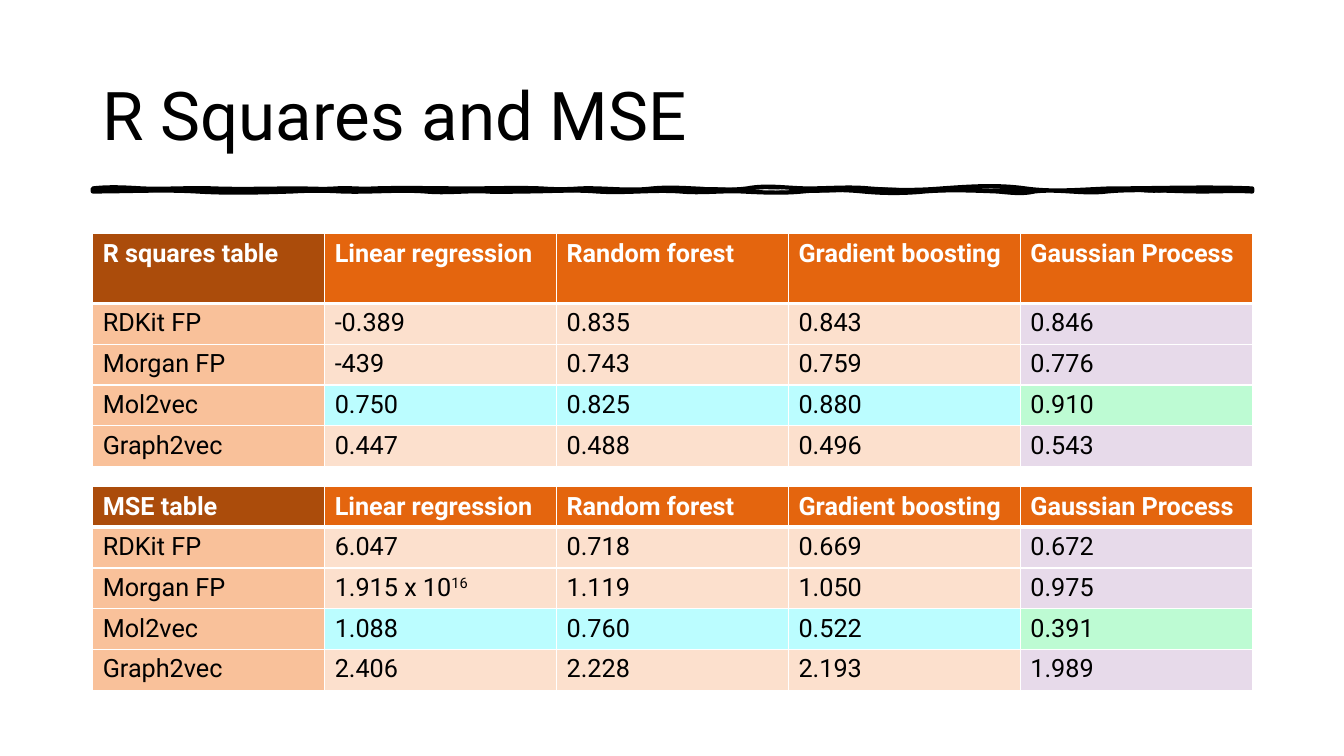
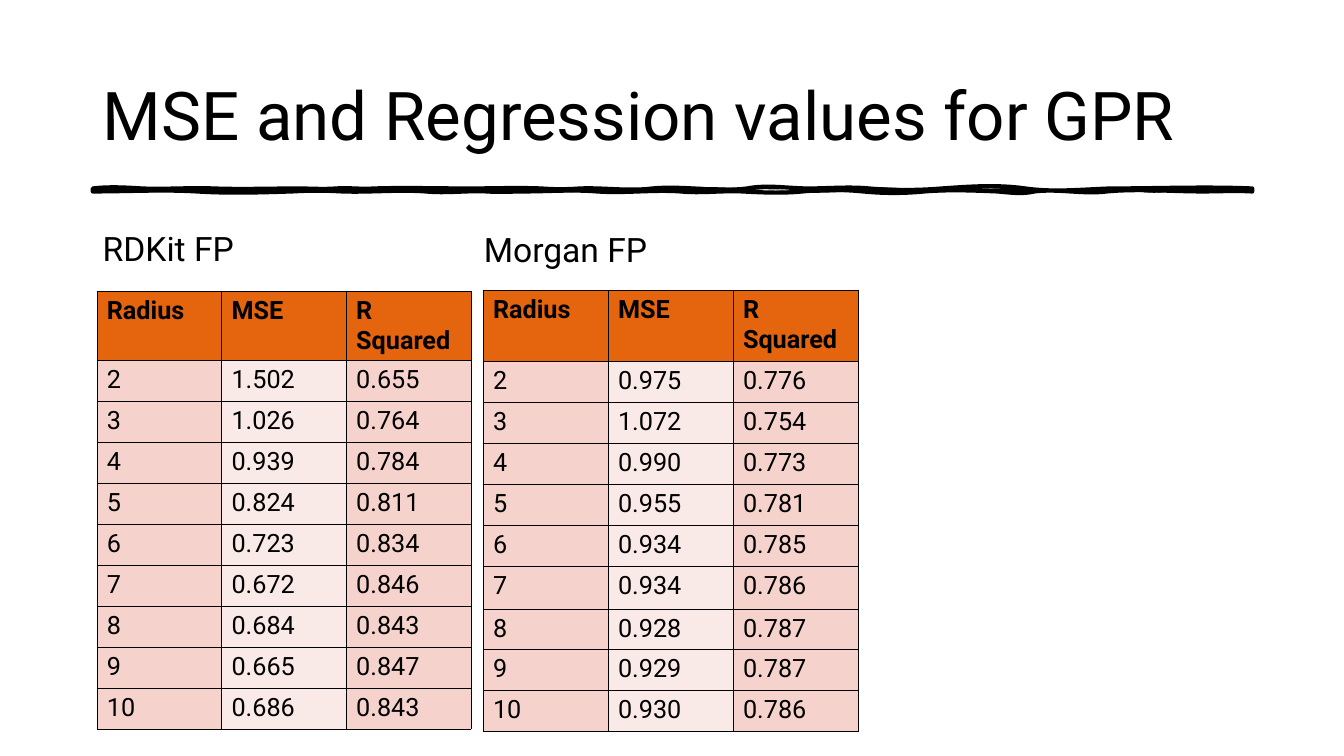
from dataclasses import dataclass

from lxml import etree
from pptx import Presentation
from pptx.dml.color import RGBColor
from pptx.enum.text import MSO_ANCHOR, MSO_AUTO_SIZE, PP_ALIGN
from pptx.oxml.ns import qn
from pptx.util import Inches, Pt

MIDDLE, TOP = MSO_ANCHOR.MIDDLE, MSO_ANCHOR.TOP
NO_FIT, GROW = MSO_AUTO_SIZE.NONE, MSO_AUTO_SIZE.SHAPE_TO_FIT_TEXT
LEFT = PP_ALIGN.LEFT
TITLE_ONLY = 5


@dataclass(frozen=True)
class Theme:
    font: str = "Roboto"
    title: int = 48
    label: int = 24
    cell: int = 18
    ink: str = "000000"
    paper: str = "FFFFFF"
    orange: str = "E4650E"
    rust: str = "AB4C0B"
    peach: str = "F9C19A"
    cream: str = "FCE0CD"
    lilac: str = "E7DAEA"
    cyan: str = "BBFDFF"
    mint: str = "BDFBD3"
    rose: str = "F5D3CC"
    blush: str = "FAEAE7"


T = Theme()

# Grid, in inches
SLIDE_W, SLIDE_H = 13.33, 7.5
MARGIN, CONTENT_W = 0.92, 11.5
RIGHT = MARGIN + CONTENT_W
TITLE_TOP, TITLE_H = 0.4, 1.45
RULE_TOP, RULE_BOTTOM = 1.87, 1.9

# Hand-drawn rule: each curve is (end x, first bend, second bend), bends in 1/100 inch
OUTLINE_TOP = [
    (1.41, -2, -1), (2.12, 1, -1), (2.96, 1, 0), (3.33, 0, 1), (3.71, -1, 1),
    (4.65, -1, 0), (5.37, 0, -1), (5.75, 1, 1), (6.47, -1, 3), (7.41, -3, 4),
    (8.02, -4, 0), (8.62, 0, -2), (9.34, 2, 2), (10.17, -2, -4), (11.01, 4, 1),
    (RIGHT, 0, -2)]
OUTLINE_BOTTOM = [
    (11.93, -1, 0), (10.98, 0, -3), (10.26, 3, -3), (9.89, 3, 1), (9.17, -1, -2),
    (8.56, 2, 2), (7.96, -2, -2), (7.36, 2, 1), (6.75, -1, 2), (5.92, -2, 2),
    (5.2, -2, 0), (4.83, 0, 1), (4.22, -1, 2), (3.39, -2, 1), (2.9, -1, -1),
    (1.95, 1, 2), (MARGIN, -2, 0)]
BODY_TOP = [
    (1.52, 2, 2), (1.89, -2, -2), (2.84, 2, -2), (3.45, 2, 1), (4.05, -1, -2),
    (5, 2, 1), (5.49, -1, 0), (6.44, 0, 2), (7.39, -2, -2), (8.1, 2, 3),
    (9.05, -3, -1), (9.66, 1, -1), (10.26, 1, -2), (11.09, 2, 3),
    (11.7, -3, -3), (RIGHT, 3, 0)]
BODY_BOTTOM = [
    (11.58, 2, -3), (11.21, 3, 0), (10.72, 0, 2), (9.77, -2, 4), (9.05, -4, 4),
    (8.56, -4, 0), (7.85, 0, 3), (7.47, -3, -2), (7.1, 2, 1), (6.38, -1, -3),
    (5.89, 3, -1), (5.06, 1, 1), (4.57, -1, 0), (3.73, 0, 2), (3.36, -2, -1),
    (2.53, 1, 2), (2.04, -2, 1), (1.66, -1, -1), (MARGIN, 1, 2)]

# Table contents
METHODS = ["Linear regression", "Random forest", "Gradient boosting", "Gaussian Process"]
R_SQUARES = [
    ["R squares table", *METHODS],
    ["RDKit FP", "-0.389", "0.835", "0.843", "0.846"],
    ["Morgan FP", "-439", "0.743", "0.759", "0.776"],
    ["Mol2vec", "0.750", "0.825", "0.880", "0.910"],
    ["Graph2vec", "0.447", "0.488", "0.496", "0.543"]]
MSE = [
    ["MSE table", *METHODS],
    ["RDKit FP", "6.047", "0.718", "0.669", "0.672"],
    ["Morgan FP", "1.915 x 10^16", "1.119", "1.050", "0.975"],
    ["Mol2vec", "1.088", "0.760", "0.522", "0.391"],
    ["Graph2vec", "2.406", "2.228", "2.193", "1.989"]]
RDKIT = [
    ("1.502", "0.655"), ("1.026", "0.764"), ("0.939", "0.784"),
    ("0.824", "0.811"), ("0.723", "0.834"), ("0.672", "0.846"),
    ("0.684", "0.843"), ("0.665", "0.847"), ("0.686", "0.843")]
MORGAN = [
    ("0.975", "0.776"), ("1.072", "0.754"), ("0.990", "0.773"),
    ("0.955", "0.781"), ("0.934", "0.785"), ("0.934", "0.786"),
    ("0.928", "0.787"), ("0.929", "0.787"), ("0.930", "0.786")]


def rgb(color):
    return RGBColor.from_string(color)


def add_run(p, text, size, color=T.ink, bold=False):
    r = p.add_run()
    r.text = text
    r.font.name, r.font.size, r.font.bold = T.font, Pt(size), bold
    r.font.color.rgb = rgb(color)
    return r


# Shared rule
def edge_curves(x, y, edge):
    """Two control points and an end point for each curve of a long edge."""
    curves = []
    for end, bend1, bend2 in edge:
        third = (end - x) / 3
        curves.append([(x + third, y + bend1 / 100), (end - third, y + bend2 / 100), (end, y)])
        x = end
    return curves


def add_stroke(slide, top, bottom):
    corner = (RIGHT, RULE_BOTTOM)
    curves = (edge_curves(MARGIN, RULE_TOP, top) + [[corner] * 3]
              + edge_curves(RIGHT, RULE_BOTTOM, bottom))
    builder = slide.shapes.build_freeform(Inches(MARGIN), Inches(RULE_TOP))
    builder.add_line_segments([tuple(map(Inches, curve[-1])) for curve in curves], close=True)
    sp = builder.convert_to_shape()
    sp.shadow.inherit = False
    # Bend each straight segment into its curve
    for segment, curve in zip(list(sp.element.iter(qn("a:lnTo"))), curves):
        if curve[0] == corner:
            continue
        bezier = etree.Element(qn("a:cubicBezTo"))
        for x, y in curve:
            etree.SubElement(bezier, qn("a:pt"), x=str(Inches(x - MARGIN)),
                             y=str(Inches(y - RULE_TOP)))
        segment.getparent().replace(segment, bezier)
    return sp


def add_rule(slide):
    """Draw the rule and hand it to the layout, so every slide shows it."""
    outline = add_stroke(slide, OUTLINE_TOP, OUTLINE_BOTTOM)
    outline.fill.background()
    outline.line.color.rgb, outline.line.width = rgb(T.ink), Pt(3)
    body = add_stroke(slide, BODY_TOP, BODY_BOTTOM)
    body.fill.solid()
    body.fill.fore_color.rgb = rgb(T.ink)
    body.line.fill.background()
    for sp in (outline, body):
        slide.slide_layout.shapes.element.append(sp.element)


# Titles and labels
def prepare_layout(layout):
    """Place the title and drop the date, footer and number."""
    for sp in list(layout.placeholders):
        if sp.placeholder_format.idx:
            layout.shapes.element.remove(sp.element)
            continue
        sp.left, sp.top = Inches(MARGIN), Inches(TITLE_TOP)
        sp.width, sp.height = Inches(CONTENT_W), Inches(TITLE_H)


def add_titled_slide(prs, title):
    slide = prs.slides.add_slide(prs.slide_layouts[TITLE_ONLY])
    tf = slide.shapes.title.text_frame
    tf.word_wrap, tf.auto_size, tf.vertical_anchor = True, NO_FIT, MIDDLE
    p = tf.paragraphs[0]
    p.alignment = LEFT
    add_run(p, title, T.title)
    return slide


def add_label(slide, text, left, top, width):
    sp = slide.shapes.add_textbox(Inches(left), Inches(top), Inches(width), Inches(0.5))
    tf = sp.text_frame
    tf.word_wrap, tf.auto_size = True, GROW
    add_run(tf.paragraphs[0], text, T.label)


# Tables
def set_borders(cell, color, width, **special):
    tc_pr = cell._tc.get_or_add_tcPr()
    for side in "LRTB":
        ln = etree.SubElement(tc_pr, qn(f"a:ln{side}"), w=str(Pt(special.get(side, width))))
        fill = etree.SubElement(ln, qn("a:solidFill"))
        etree.SubElement(fill, qn("a:srgbClr"), val=color)


def fill_cell(cell, text, fill, color, bold):
    cell.fill.solid()
    cell.fill.fore_color.rgb = rgb(fill)
    cell.vertical_anchor = TOP
    p = cell.text_frame.paragraphs[0]
    base, _, power = text.partition("^")
    add_run(p, base, T.cell, color, bold)
    if power:
        r = add_run(p, power, T.cell, color, bold)
        r._r.get_or_add_rPr().set("baseline", "30000")


def add_grid(slide, rows, box, header_h, fill_rule, header_ink, border, extra):
    """Equal columns; body rows share the rest, and extra adds to single rows."""
    width, height = box[2:]
    frame = slide.shapes.add_table(len(rows), len(rows[0]), *map(Inches, box))
    table = frame.table
    table.horz_banding = False
    for column in table.columns:
        column.width = Inches(width / len(rows[0]))
    body_h = (height - header_h - sum(extra.values())) / (len(rows) - 1)
    color, line, header_line = border
    # The header's lower line is also the first body row's upper line
    special = {0: {"B": header_line}, 1: {"T": header_line}}
    for i, values in enumerate(rows):
        header = i == 0
        table.rows[i].height = Inches(header_h if header else body_h + extra.get(i, 0))
        for j, text in enumerate(values):
            cell = table.cell(i, j)
            set_borders(cell, color, line, **special.get(i, {}))
            fill_cell(cell, text, fill_rule(i, j), header_ink if header else T.ink, header)


def method_fill(row, col):
    if row == 0:
        return T.orange if col else T.rust
    if col == 0:
        return T.peach
    best_row, best_col = row == 3, col == 4
    if best_row:
        return T.mint if best_col else T.cyan
    return T.lilac if best_col else T.cream


def radius_fill(row, col):
    if row == 0:
        return T.orange
    return T.blush if col == 1 else T.rose


def add_method_table(slide, rows, top, height, header_h):
    add_grid(slide, rows, (MARGIN, top, CONTENT_W, height), header_h,
             method_fill, T.paper, (T.paper, 1, 3), {})


def add_radius_table(slide, scores, left, top, width, height, extra):
    rows = [["Radius", "MSE", "R Squared"]]
    rows += [[str(radius), *pair] for radius, pair in enumerate(scores, start=2)]
    add_grid(slide, rows, (left, top, width, height), 0.68,
             radius_fill, T.ink, (T.ink, 0.25, 0.25), extra)


def main():
    prs = Presentation()
    prs.slide_width, prs.slide_height = Inches(SLIDE_W), Inches(SLIDE_H)
    prepare_layout(prs.slide_layouts[TITLE_ONLY])

    # Scores by method
    slide = add_titled_slide(prs, "R Squares and MSE")
    add_rule(slide)
    add_method_table(slide, R_SQUARES, top=2.32, height=2.31, header_h=0.69)
    add_method_table(slide, MSE, top=4.83, height=2.02, header_h=0.4)

    # Scores by fingerprint radius
    slide = add_titled_slide(prs, "MSE and Regression values for GPR")
    add_radius_table(slide, RDKIT, 0.96, 2.89, 3.71, 4.34, {})
    add_label(slide, "RDKit FP", MARGIN, 2.21, 3.98)
    add_radius_table(slide, MORGAN, 4.79, 2.88, 3.72, 4.36, {6: 0.02})
    add_label(slide, "Morgan FP", 4.7, 2.22, 3.33)

    prs.save("out.pptx")


if __name__ == "__main__":
    main()
